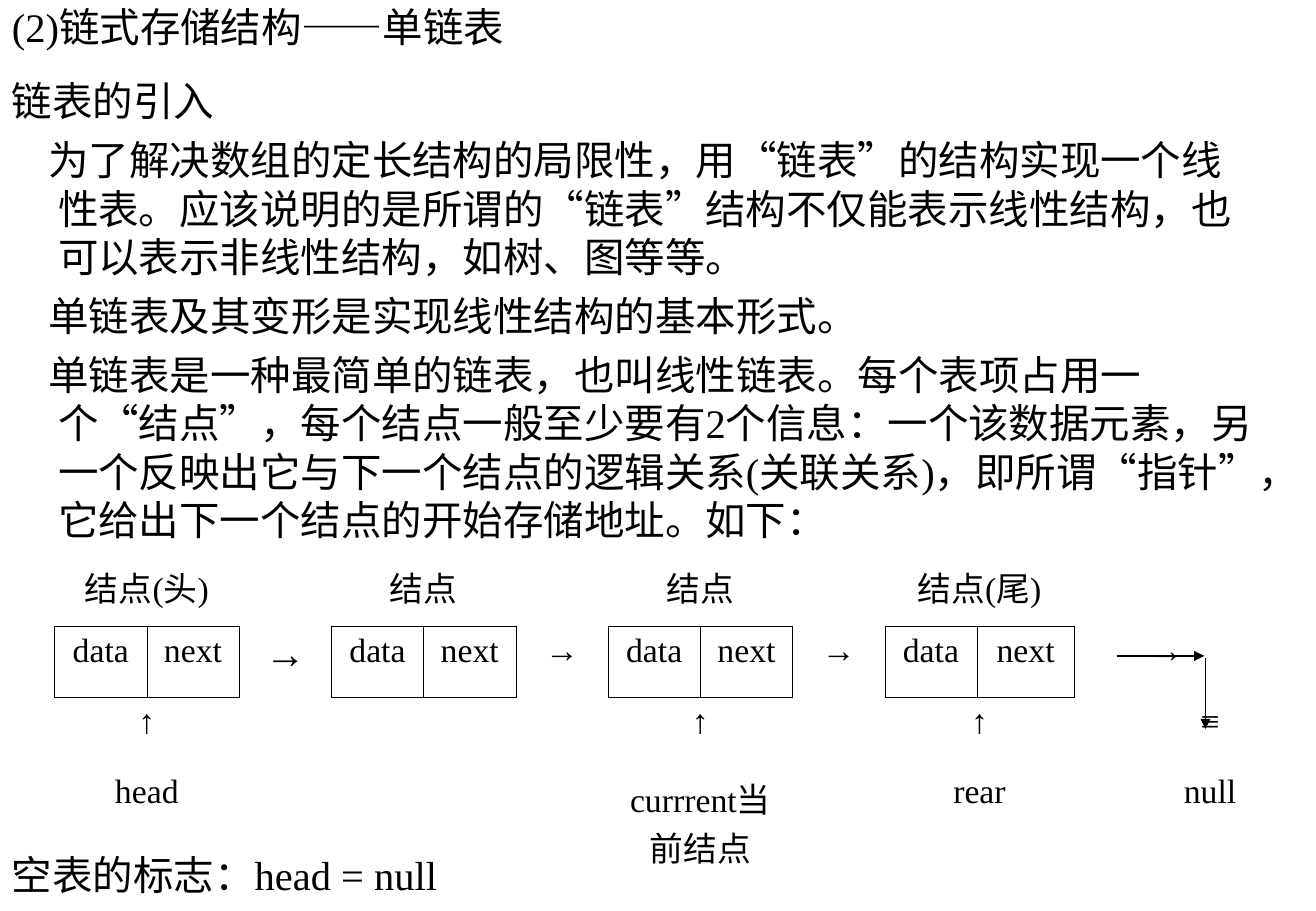
"""Build the slide that introduces the singly linked list."""
from dataclasses import dataclass

from lxml import etree
from pptx import Presentation
from pptx.dml.color import RGBColor
from pptx.enum.shapes import MSO_CONNECTOR as CONN
from pptx.enum.text import MSO_ANCHOR as ANCHOR, PP_ALIGN as ALIGN
from pptx.oxml.ns import qn
from pptx.util import Inches, Pt

TITLE = "(2)链式存储结构——单链表"
INTRO = [
    ("链表的引入", 0, 0),
    ("为了解决数组的定长结构的局限性，用“链表”的结构实现一个线性表。应该说明的是所谓的“链表”结构不仅能表示线性结构，也可以表示非线性结构，如树、图等等。", 0.38, -0.08),
    ("单链表及其变形是实现线性结构的基本形式。", 0.38, -0.08),
    ("单链表是一种最简单的链表，也叫线性链表。每个表项占用一个“结点”，每个结点一般至少要有2个信息：一个该数据元素，另一个反映出它与下一个结点的逻辑关系(关联关系)，即所谓“指针”，它给出下一个结点的开始存储地址。如下：", 0.38, -0.08),
]
EMPTY_MARK = [("空表的标志：head = null", 0, 0)]
NODES = [
    ("结点(头)", "↑", "head"),
    ("结点", "", ""),
    ("结点", "↑", "currrent当前结点"),
    ("结点(尾)", "↑", "rear"),
]
FIELDS = ("data", "next")
LIST_END = ("≡", "null")
COLS = [0.76] * 10 + [0.8, 0.72, 0.2, 0.56]
ROWS = [0.58, 0.58, 0.58, 0.77]
NODE_STEP = 3
END_COL = NODE_STEP * len(NODES)
TABLE_AT = (0.45, 4.58)
NULL_ARROWS = [((9.2, 5.4), (9.92, 5.4)), ((9.93, 5.42), (9.93, 6))]


@dataclass(frozen=True)
class Theme:
    font: str = "Times New Roman"
    ink: str = "000000"
    body: int = 24
    cell: int = 20
    gap: int = 6
    hairline: float = 0.45
    head_edge: float = 1.08
    arrow: float = 0.75
    plain_table: str = "{2D5ABB26-0587-4C30-8999-92F81FD0307C}"


THEME = Theme()
INK = RGBColor.from_string(THEME.ink)


def set_font(p, size):
    p.font.name, p.font.size, p.font.color.rgb = THEME.font, Pt(size), INK


def add_text(slide, box, paragraphs, anchor=ANCHOR.TOP):
    tf = slide.shapes.add_textbox(*map(Inches, box)).text_frame
    tf.word_wrap, tf.vertical_anchor = True, anchor
    for i, (text, margin, indent) in enumerate(paragraphs):
        p = tf.add_paragraph() if i else tf.paragraphs[0]
        p.text = text
        pPr = p._p.get_or_add_pPr()
        pPr.set("marL", str(Inches(margin)))
        pPr.set("indent", str(Inches(indent)))
        if i:
            p.space_before = Pt(THEME.gap)
        set_font(p, THEME.body)


def fill_cell(table, row, col, text, span=1, size=THEME.cell):
    cell = table.cell(row, col)
    if span > 1:
        cell.merge(table.cell(row, col + span - 1))
    p = cell.text_frame.paragraphs[0]
    p.text, p.alignment = text, ALIGN.CENTER
    set_font(p, size)
    return cell


def add_border(cell, left_width):
    tcPr = cell._tc.get_or_add_tcPr()
    widths = (left_width,) + (THEME.hairline,) * 3
    for i, (side, width) in enumerate(zip(("lnL", "lnR", "lnT", "lnB"), widths)):
        ln = etree.Element(qn(f"a:{side}"), w=str(Pt(width)))
        fill = etree.SubElement(ln, qn("a:solidFill"))
        etree.SubElement(fill, qn("a:srgbClr"), val=THEME.ink)
        tcPr.insert(i, ln)


def add_list_table(slide):
    size = (sum(COLS), sum(ROWS))
    frame = slide.shapes.add_table(len(ROWS), len(COLS), *map(Inches, TABLE_AT + size))
    table = frame.table
    table.first_row = table.horz_banding = False
    table._tbl.tblPr.find(qn("a:tableStyleId")).text = THEME.plain_table
    for column, width in zip(table.columns, COLS):
        column.width = Inches(width)
    for row, height in zip(table.rows, ROWS):
        row.height = Inches(height)
    for cell in table.iter_cells():
        cell.fill.background()

    for n, (label, pointer, name) in enumerate(NODES):
        col = n * NODE_STEP
        for row, text in ((0, label), (2, pointer), (3, name)):
            fill_cell(table, row, col, text, span=2)
        for k, field in enumerate(FIELDS):
            first = n == 0 and k == 0
            cell = fill_cell(table, 1, col + k, field)
            add_border(cell, THEME.head_edge if first else THEME.hairline)
        last = n == len(NODES) - 1
        fill_cell(table, 1, col + 2, "→", span=3 if last else 1,
                  size=THEME.cell if n else THEME.body)
    for row, text in enumerate(LIST_END, start=2):
        fill_cell(table, row, END_COL, text, span=2)


def add_arrow(slide, start, end):
    s = slide.shapes.add_connector(CONN.STRAIGHT, *map(Inches, start + end))
    s.line.color.rgb, s.line.width = INK, Pt(THEME.arrow)
    etree.SubElement(s.line._get_or_add_ln(), qn("a:tailEnd"), type="triangle")
    etree.SubElement(s._element.spPr, qn("a:effectLst"))


def main():
    prs = Presentation()
    prs.slide_width, prs.slide_height = Inches(10.84), Inches(7.5)
    slide = prs.slides.add_slide(prs.slide_layouts[6])
    add_text(slide, (0, 0, 9.21, 0.44), [(TITLE, 0, 0)], ANCHOR.MIDDLE)
    add_text(slide, (0, 0.58, 10.47, 4), INTRO)
    add_text(slide, (0, 6.95, 10.47, 0.5), EMPTY_MARK)
    add_list_table(slide)
    for start, end in NULL_ARROWS:
        add_arrow(slide, start, end)
    prs.save("out.pptx")


if __name__ == "__main__":
    main()
